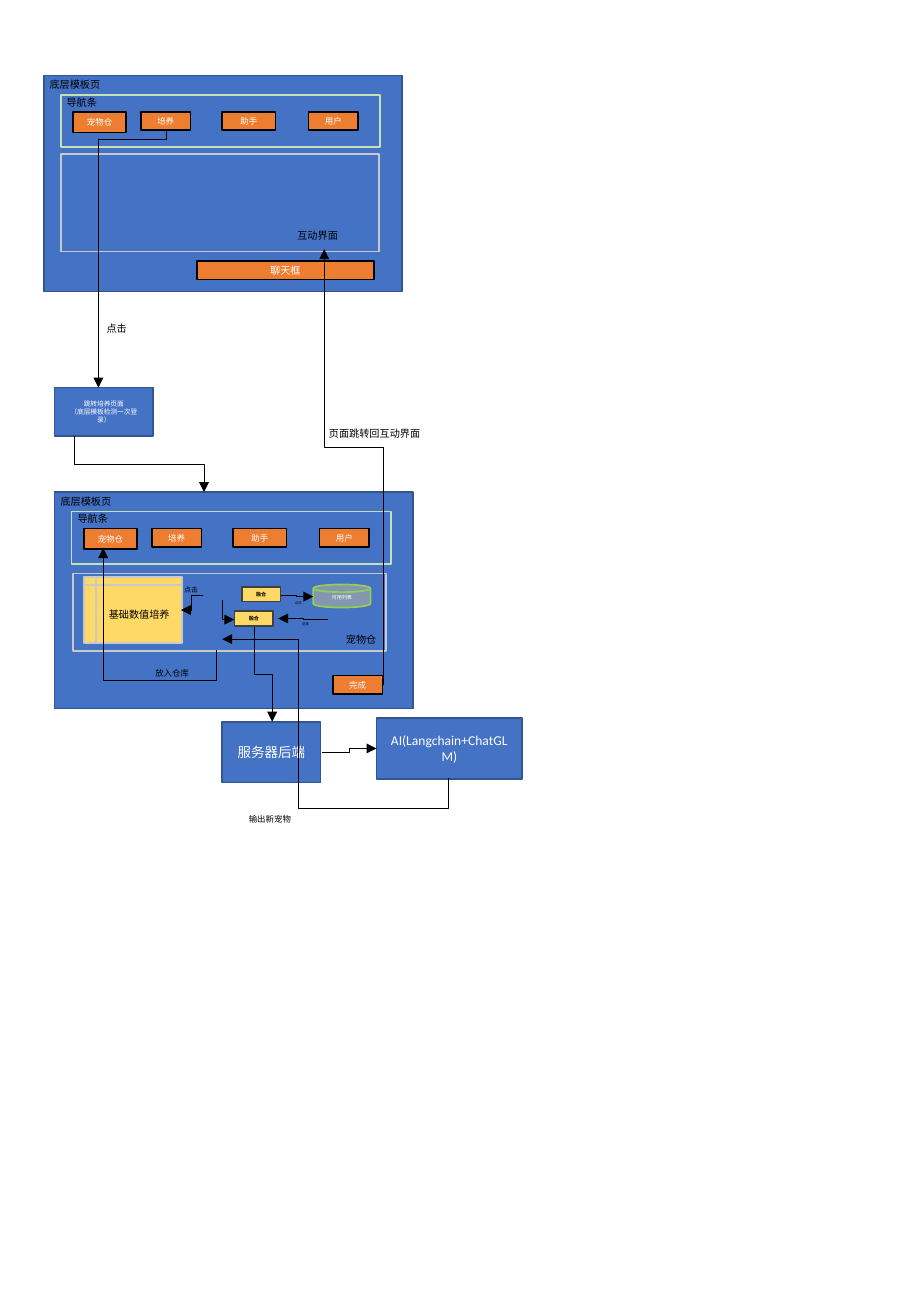
import pptx
import pptx.util
import pptx.dml.color
import pptx.enum.shapes
import pptx.enum.text
import pptx.oxml
import pptx.oxml.ns

Inches = pptx.util.Inches
Pt = pptx.util.Pt
RGBColor = pptx.dml.color.RGBColor
SHAPE = pptx.enum.shapes.MSO_SHAPE
ANCHOR = pptx.enum.text.MSO_ANCHOR
ALIGN = pptx.enum.text.PP_ALIGN
qn = pptx.oxml.ns.qn

BLUE = RGBColor(0x44, 0x72, 0xC4)
NAVY = RGBColor(0x32, 0x54, 0x91)
ORANGE = RGBColor(0xED, 0x7D, 0x31)
YELLOW = RGBColor(0xFF, 0xD9, 0x66)
SLATE = RGBColor(0x84, 0x97, 0xB0)
LIME = RGBColor(0x92, 0xD0, 0x50)
PALE_GREEN = RGBColor(0xC5, 0xE0, 0xB4)
GREY = RGBColor(0xC9, 0xC9, 0xC9)
DARK = RGBColor(0x40, 0x40, 0x40)
BLACK = RGBColor(0, 0, 0)
WHITE = RGBColor(0xFF, 0xFF, 0xFF)


class FlowSlide:
    font = "Calibri"

    def __init__(self, prs):
        self.shapes = prs.slides.add_slide(prs.slide_layouts[6]).shapes

    def set_text(self, tf, text, size, color, align, bold=False):
        tf.word_wrap = True
        tf.text = text
        for p in tf.paragraphs:
            p.alignment = align
            p.font.name = self.font
            p.font.size = Pt(size)
            p.font.bold = bold
            p.font.color.rgb = color

    def box(self, x, y, w, h, fill, line, text="", size=5, color=WHITE,
            kind=SHAPE.RECTANGLE, bold=False):
        sp = self.shapes.add_shape(kind, Inches(x), Inches(y), Inches(w), Inches(h))
        sp.shadow.inherit = False
        if fill is None:
            sp.fill.background()
        else:
            sp.fill.solid()
            sp.fill.fore_color.rgb = fill
        sp.line.color.rgb = line
        sp.line.width = Pt(1)
        if text:
            sp.text_frame.vertical_anchor = ANCHOR.MIDDLE
            self.set_text(sp.text_frame, text, size, color, ALIGN.CENTER, bold)

    def button(self, x, y, w, text, size=5, h=0.15):
        self.box(x, y, w, h, ORANGE, BLACK, text, size)

    def label(self, x, y, w, text, size=6, h=0.2):
        sp = self.shapes.add_textbox(Inches(x), Inches(y), Inches(w), Inches(h))
        self.set_text(sp.text_frame, text, size, BLACK, ALIGN.LEFT)

    def page(self, x, y):
        """Template page with its navigation bar."""
        self.box(x, y, 2.95, 1.78, BLUE, NAVY)
        self.box(x + 0.14, y + 0.16, 2.63, 0.43, None, PALE_GREEN)
        self.button(x + 0.24, y + 0.3, 0.44, "宠物仓", h=0.17)
        for dx, w, text in [(0.8, 0.41, "培养"), (1.47, 0.44, "助手"), (2.18, 0.41, "用户")]:
            self.button(x + dx, y + 0.3, w, text)
        self.label(x - 0.05, y - 0.02, 1.19, "底层模板页")
        self.label(x + 0.09, y + 0.12, 1.19, "导航条")

    def arrow(self, start, end, *bends, vertical=False, corner=False):
        """Elbow arrow; bends are the coordinates of its middle legs in turn."""
        (x1, y1), (x2, y2) = start, end
        cn = self.shapes.add_connector(
            pptx.enum.shapes.MSO_CONNECTOR.ELBOW,
            Inches(x1), Inches(y1), Inches(x2), Inches(y2))
        cn.line.color.rgb = BLACK
        cn.line.width = Pt(0.5)
        pr = cn._element.spPr
        geom = pr.find(qn("a:prstGeom"))

        # Starting vertically means a turned frame around the same centre
        if vertical:
            w, h = abs(y2 - y1), abs(x2 - x1)
            cn.left, cn.top = Inches((x1 + x2 - w) / 2), Inches((y1 + y2 - h) / 2)
            cn.width, cn.height = Inches(w), Inches(h)
            xfrm = pr.find(qn("a:xfrm"))
            xfrm.set("rot", str((270 if x2 > x1 else 90) * 60000))
            xfrm.set("flipH", "1" if (x2 > x1) == (y2 > y1) else "0")
            xfrm.set("flipV", "0")

        # Bend positions as shares of the frame
        geom.set("prst", f"bentConnector{2 if corner else max(3, len(bends) + 2)}")
        spans = [(y1, y2), (x1, x2)] if vertical else [(x1, x2), (y1, y2)]
        guides = geom.get_or_add_avLst()
        for i, (bend, (a, b)) in enumerate(zip(bends, spans), 1):
            guides.append(guides.makeelement(qn("a:gd"), {
                "name": f"adj{i}", "fmla": f"val {round((bend - a) / (b - a) * 100000)}"}))

        # Arrowhead, no shadow
        ln = pr.find(qn("a:ln"))
        ln.append(ln.makeelement(qn("a:tailEnd"), {"type": "triangle"}))
        pr.append(pr.makeelement(qn("a:effectLst"), {}))


def main():
    prs = pptx.Presentation()
    prs.slide_width, prs.slide_height = Inches(7.5), Inches(10.83)
    s = FlowSlide(prs)

    # Interaction page
    s.page(0.36, 0.62)
    s.box(0.5, 1.27, 2.62, 0.8, None, GREY)
    s.label(2.35, 1.84, 0.64, "互动界面")
    s.button(1.62, 2.15, 1.46, "聊天框", 6)

    # Jump to the training page
    s.box(0.45, 3.19, 0.81, 0.4, BLUE, NAVY, "跳转培养页面\n（底层模板检测一次登录）", 4)

    # Training page
    s.page(0.45, 4.05)
    s.box(0.6, 4.72, 2.58, 0.64, None, GREY)
    s.label(2.75, 5.16, 0.52, "宠物仓")
    s.box(0.69, 4.75, 0.81, 0.54, YELLOW, GREY, "基础数值培养", 6, BLACK,
          SHAPE.FLOWCHART_INTERNAL_STORAGE)
    for x, y in [(1.99, 4.83), (1.93, 5.03)]:
        s.box(x, y, 0.32, 0.12, YELLOW, DARK, "融合", 3, BLACK, bold=True)
    s.box(2.58, 4.81, 0.47, 0.19, SLATE, LIME, "可用列表", 3,
          kind=SHAPE.FLOWCHART_MAGNETIC_DISK)
    s.button(2.74, 5.56, 0.41, "完成")

    # Back end
    s.box(1.83, 5.94, 0.81, 0.5, BLUE, NAVY, "服务器后端", 8)
    s.box(3.1, 5.91, 1.2, 0.5, BLUE, NAVY, "AI(Langchain+ChatGLM)", 8)

    # Arrow labels
    s.label(0.78, 2.6, 0.53, "点击")
    s.label(1.42, 4.77, 0.53, "点击", 4, 0.17)
    s.label(2.33, 4.9, 0.3, "点击", 2, 0.13)
    s.label(2.39, 5.07, 0.3, "选择", 2, 0.13)
    s.label(1.95, 6.65, 1.05, "输出新宠物", 5, 0.19)
    s.label(1.18, 5.45, 0.52, "放入仓库", 5, 0.19)
    s.label(2.61, 3.47, 1.12, "页面跳转回互动界面")

    # Arrows that leave sideways
    s.arrow((2.65, 6.19), (3.1, 6.16))
    s.arrow((1.67, 4.9), (1.49, 5.02))
    s.arrow((2.31, 4.9), (2.58, 4.91))
    s.arrow((2.7, 5.1), (2.29, 5.09))

    # Arrows that leave up or down
    s.arrow((1.37, 1.07), (0.81, 3.19), 1.15, vertical=True)
    s.arrow((0.61, 3.59), (1.68, 4.05), 3.82, vertical=True)
    s.arrow((1.83, 4.94), (1.93, 5.1), vertical=True, corner=True)
    s.arrow((3.69, 6.4), (1.83, 5.26), 6.65, 2.46, vertical=True)
    s.arrow((1.78, 5.35), (0.85, 4.51), 5.6, vertical=True)
    s.arrow((3.16, 5.64), (2.67, 2.05), 3.68, vertical=True)
    s.arrow((2.09, 5.16), (2.24, 5.94), 5.55, vertical=True)

    prs.save("out.pptx")


if __name__ == "__main__":
    main()
